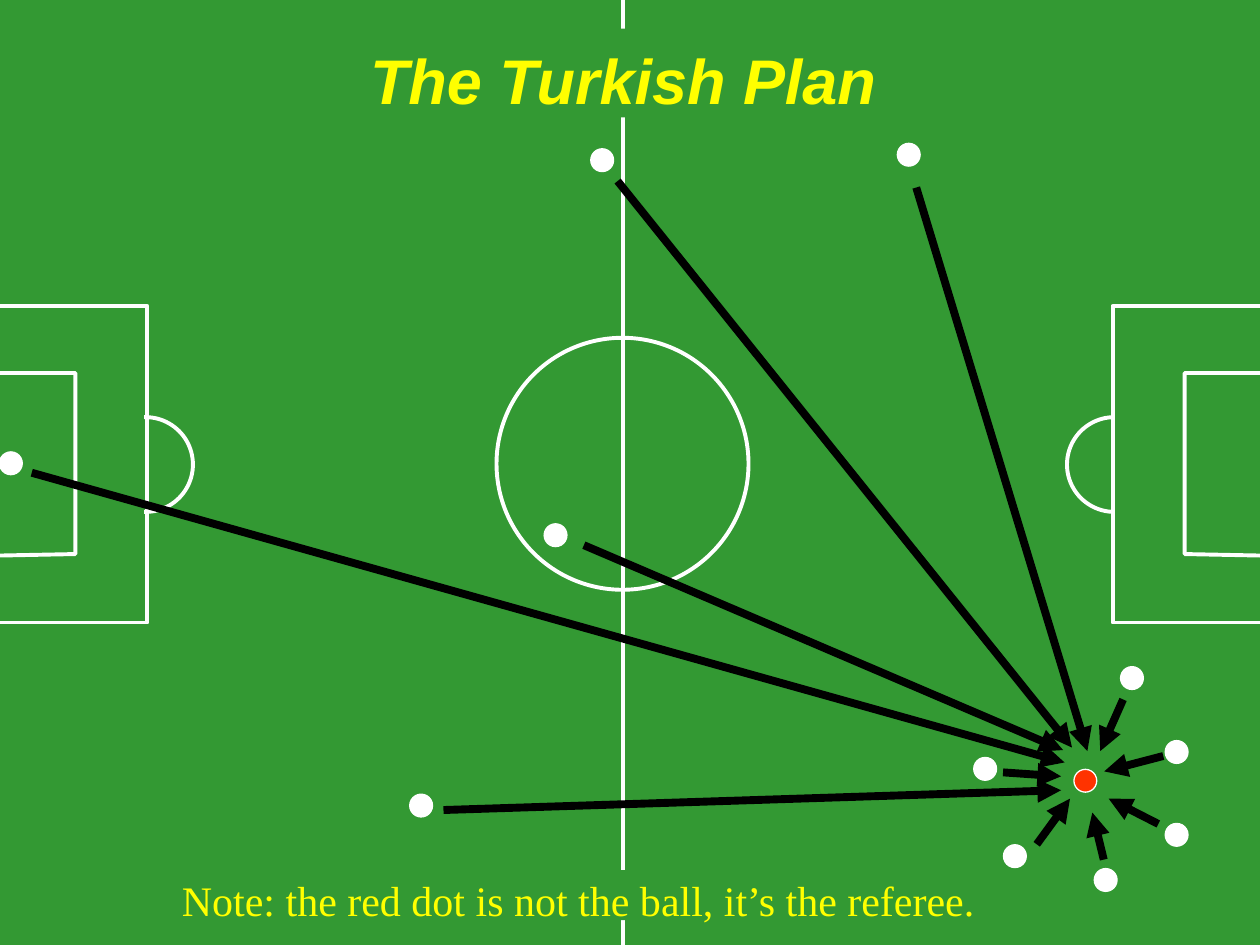
from lxml.etree import SubElement
from pptx import Presentation
from pptx.dml.color import RGBColor
from pptx.enum.shapes import MSO_CONNECTOR, MSO_SHAPE
from pptx.enum.text import MSO_ANCHOR, PP_ALIGN
from pptx.oxml.ns import qn
from pptx.util import Cm, Pt

COLORS = {"grass": "339933", "chalk": "FFFFFF", "arrow": "000000",
          "referee": "FF3300", "text": "FFFF00"}
WIDTH, HEIGHT = 25.4, 19.05
DOT = 0.46
CHALK_WIDTH = 2.25
HALFWAY = 12.55
CENTRE_CIRCLE = (10.01, 6.81, 5.08, 5.08)

PENALTY_AREA = [(0, 6.17), (2.97, 6.17), (2.97, 12.55), (0, 12.55)]
GOAL_AREA = [(0, 7.52), (1.52, 7.52), (1.52, 11.17), (0, 11.2)]
PENALTY_ARC = (1.98, 8.41, 1.91, 1.91)
ARC_MASK = (1.83, 7.98, 1.07, 2.74)

REFEREE = (21.88, 15.74)
RUNS = [
    {"player": (0.22, 9.34), "start": (0.64, 9.53), "end": (21.46, 15.37)},
    {"player": (8.49, 16.24), "start": (8.94, 16.33), "end": (21.39, 15.93)},
    {"player": (11.2, 10.79), "start": (11.77, 10.99), "end": (21.43, 15.12)},
    {"player": (12.14, 3.23), "start": (12.45, 3.65), "end": (21.61, 15.07)},
    {"player": (18.32, 3.12), "start": (18.47, 3.78), "end": (21.92, 15.14)},
    {"player": (20.46, 17.26), "start": (20.9, 17.02), "end": (21.57, 16.1)},
    {"player": (19.86, 15.5), "start": (20.22, 15.57), "end": (21.39, 15.65)},
    {"player": (22.29, 17.74), "start": (22.25, 17.33), "end": (22.02, 16.38)},
    {"player": (23.72, 16.83), "start": (23.35, 16.61), "end": (22.35, 16.1)},
    {"player": (23.72, 15.16), "start": (23.45, 15.24), "end": (22.26, 15.55)},
    {"player": (22.82, 13.67), "start": (22.64, 14.1), "end": (22.18, 15.14)},
]

TITLE = {"text": "The Turkish Plan", "box": (6, 0.58, 13.13, 1.79),
         "inset": 0.25, "font": "Arial", "size": 36, "strong": True}
NOTE = {"text": "Note: the red dot is not the ball, it’s the referee.",
        "box": (3.61, 17.54, 16.1, 1.01),
        "inset": 0.08, "font": "Times New Roman", "size": 24, "strong": False}


def color(name):
    return RGBColor.from_string(COLORS[name])


def style(shape, fill, line, width):
    shape.shadow.inherit = False
    if fill:
        shape.fill.solid()
        shape.fill.fore_color.rgb = color(fill)
    else:
        shape.fill.background()
    if line:
        shape.line.color.rgb = color(line)
        shape.line.width = Pt(width)
    else:
        shape.line.fill.background()


def add_preset(slide, kind, box, fill=None, line=None, width=0.75):
    shape = slide.shapes.add_shape(kind, *map(Cm, box))
    style(shape, fill, line, width)
    return shape


def add_outline(slide, points):
    corners = [(Cm(x), Cm(y)) for x, y in points]
    builder = slide.shapes.build_freeform(*corners[0])
    builder.add_line_segments(corners[1:], close=False)
    style(builder.convert_to_shape(), None, "chalk", CHALK_WIDTH)


def add_line(slide, start, end, line, width, arrow=False):
    connector = slide.shapes.add_connector(
        MSO_CONNECTOR.STRAIGHT, *map(Cm, start + end))
    connector.line.color.rgb = color(line)
    connector.line.width = Pt(width)
    if arrow:
        SubElement(connector.line._get_or_add_ln(), qn("a:tailEnd"), type="triangle")
    SubElement(connector._element.spPr, qn("a:effectLst"))


def add_dot(slide, centre, fill):
    x, y = centre
    add_preset(slide, MSO_SHAPE.OVAL, (x - DOT / 2, y - DOT / 2, DOT, DOT), fill, "chalk")


def add_goal_end(slide, mirrored):
    def flip_points(points):
        return [(WIDTH - x, y) for x, y in points] if mirrored else points

    def flip_box(box):
        left, top, width, height = box
        return (WIDTH - left - width if mirrored else left, top, width, height)

    add_outline(slide, flip_points(PENALTY_AREA))
    add_outline(slide, flip_points(GOAL_AREA))
    add_preset(slide, MSO_SHAPE.OVAL, flip_box(PENALTY_ARC), None, "chalk", CHALK_WIDTH)
    add_preset(slide, MSO_SHAPE.RECTANGLE, flip_box(ARC_MASK), "grass", "grass")


def add_label(slide, label):
    shape = add_preset(slide, MSO_SHAPE.RECTANGLE, label["box"], "grass")
    frame = shape.text_frame
    frame.text = label["text"]
    frame.word_wrap = True
    frame.vertical_anchor = MSO_ANCHOR.TOP
    frame.margin_left = frame.margin_right = frame.margin_bottom = 0
    frame.margin_top = Cm(label["inset"])
    paragraph = frame.paragraphs[0]
    paragraph.alignment = PP_ALIGN.CENTER
    font = paragraph.runs[0].font
    font.name = label["font"]
    font.size = Pt(label["size"])
    font.bold = font.italic = label["strong"]
    font.color.rgb = color("text")


def main():
    presentation = Presentation()
    presentation.slide_width, presentation.slide_height = Cm(WIDTH), Cm(HEIGHT)
    slide = presentation.slides.add_slide(presentation.slide_layouts[6])
    slide.background.fill.solid()
    slide.background.fill.fore_color.rgb = color("grass")

    add_line(slide, (HALFWAY, 0), (HALFWAY, HEIGHT), "chalk", CHALK_WIDTH)
    add_preset(slide, MSO_SHAPE.OVAL, CENTRE_CIRCLE, None, "chalk", CHALK_WIDTH)
    for mirrored in (False, True):
        add_goal_end(slide, mirrored)

    add_label(slide, TITLE)
    for run in RUNS:
        add_dot(slide, run["player"], "chalk")
    add_dot(slide, REFEREE, "referee")
    for run in RUNS:
        add_line(slide, run["start"], run["end"], "arrow", 4.5, arrow=True)
    add_label(slide, NOTE)

    presentation.save("out.pptx")


if __name__ == "__main__":
    main()
